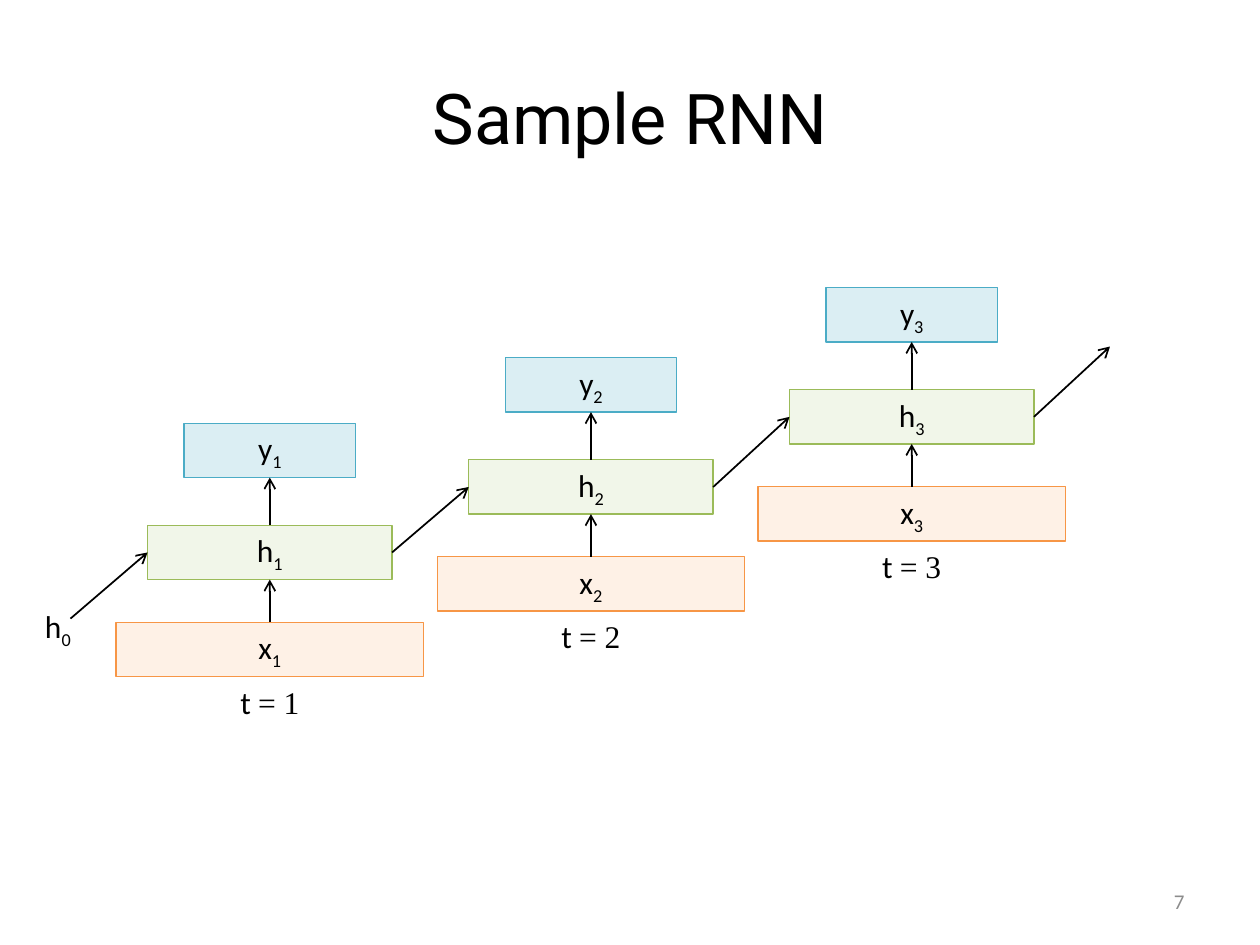
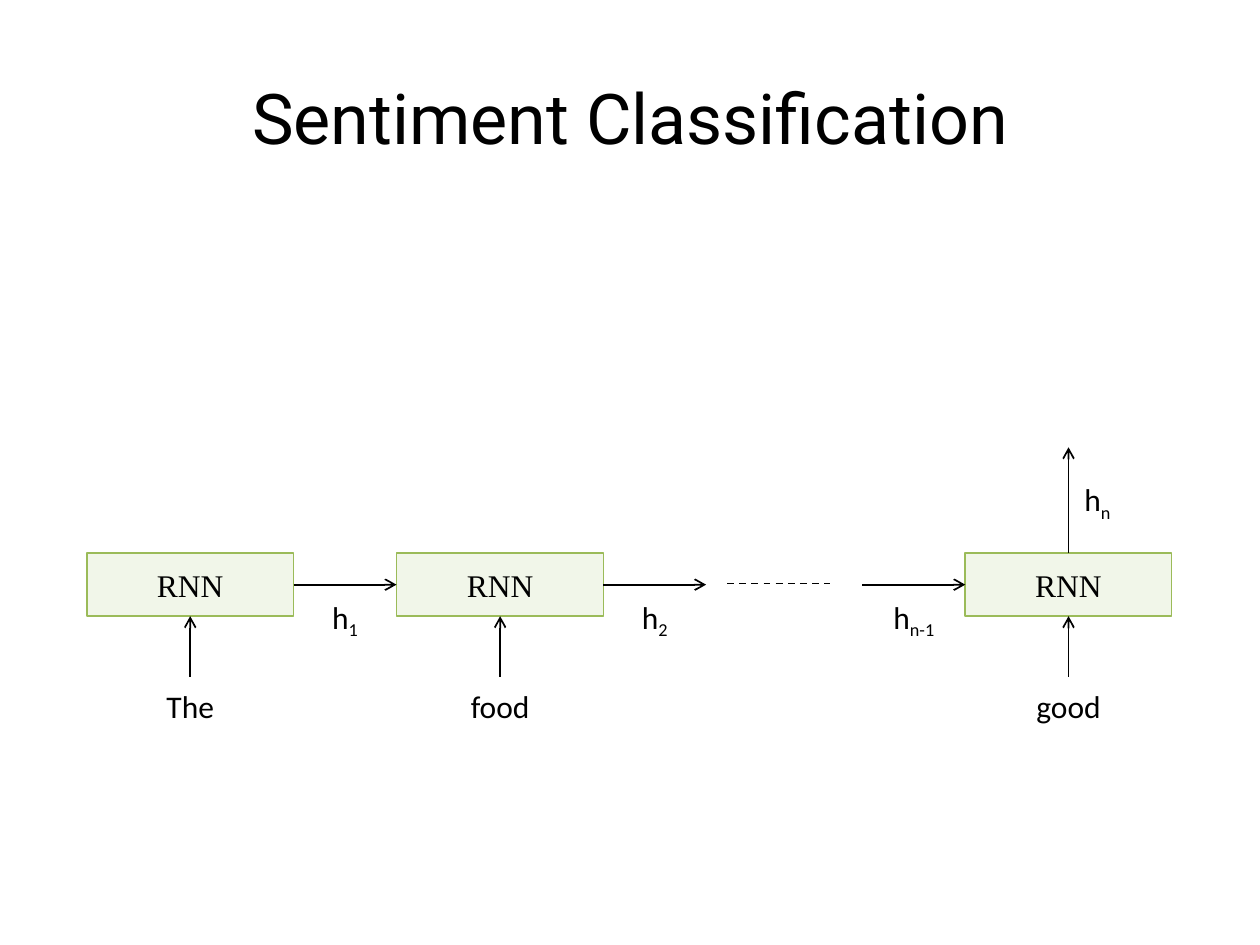
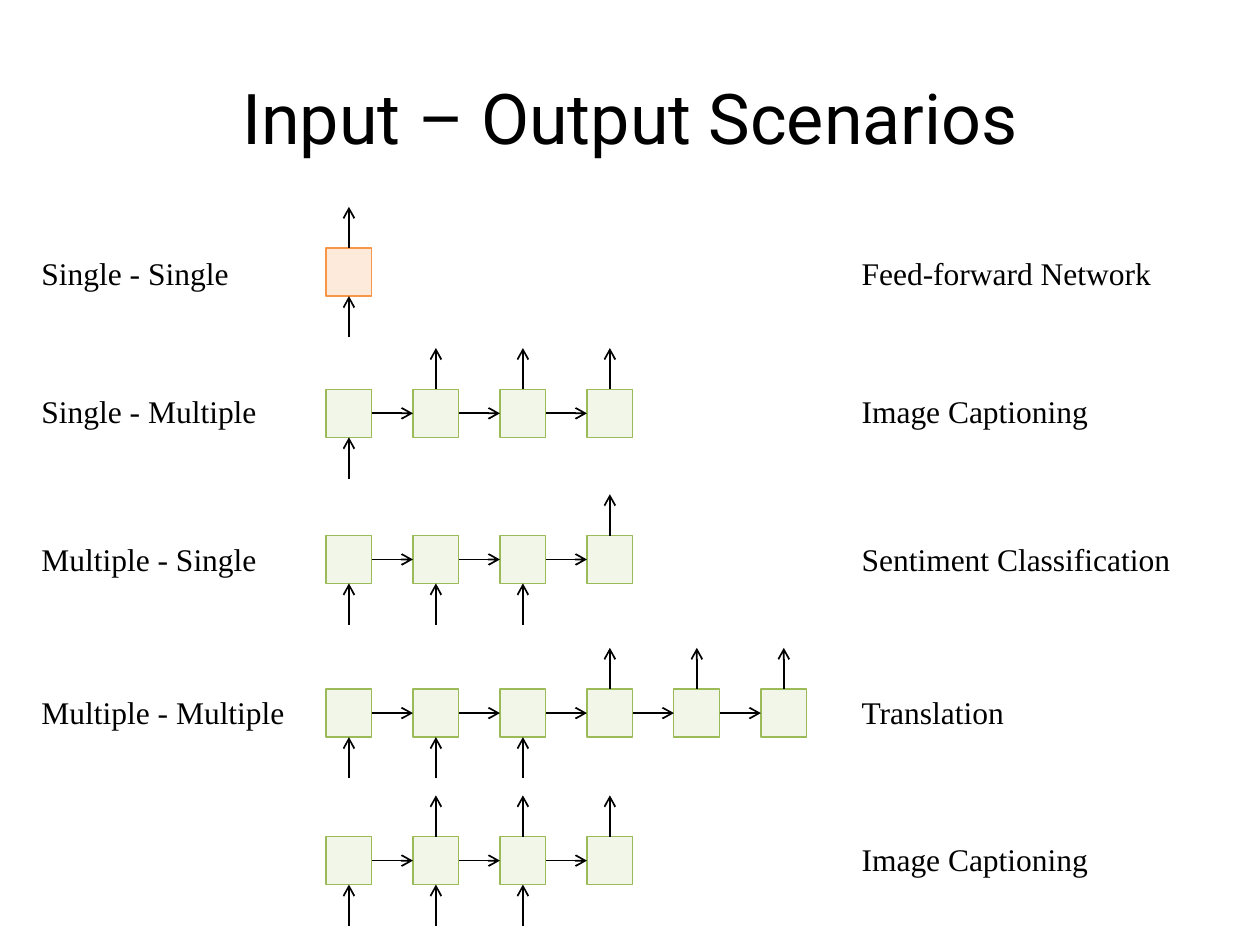
"""Build three slides on recurrent networks: a sample, a classifier and input-output scenarios."""
from lxml import etree
from pptx import Presentation
from pptx.dml.color import RGBColor
from pptx.enum.dml import MSO_LINE
from pptx.enum.shapes import MSO_CONNECTOR, MSO_SHAPE
from pptx.enum.text import MSO_ANCHOR, MSO_AUTO_SIZE, PP_ALIGN
from pptx.oxml.ns import qn
from pptx.util import Pt

RECT, STRAIGHT, DASH = MSO_SHAPE.RECTANGLE, MSO_CONNECTOR.STRAIGHT, MSO_LINE.DASH
TOP, MIDDLE = MSO_ANCHOR.TOP, MSO_ANCHOR.MIDDLE
LEFT, CENTER, RIGHT = PP_ALIGN.LEFT, PP_ALIGN.CENTER, PP_ALIGN.RIGHT
GROW = MSO_AUTO_SIZE.SHAPE_TO_FIT_TEXT

BLACK, GREY = "000000", "8C8C8C"
GREEN, BLUE = ("D7E4BD", "9BBB59"), ("93CDDD", "4BACC6")
ORANGE, DEEP_ORANGE = ("FCD5B5", "F79646"), ("FAC090", "F79646")
FONTS = {
    "title": {"name": "Roboto", "size": Pt(40)},
    "number": {"name": "Calibri", "size": Pt(12)},
    "sans": {"name": "Calibri", "size": Pt(18)},
    "serif": {"name": "Times New Roman", "size": Pt(18)},
}
LABEL_H = 29

STEPS = [("1", 154.2, 300.2), ("2", 337.7, 262.8), ("3", 521, 222.7)]
LAYERS = [("h", 139.7, 0, GREEN), ("y", 98, -58.3, BLUE), ("x", 175.7, 55.4, ORANGE)]
LAYER_H = 31
H0_START, H3_END = (40.3, 353.5), (634.3, 198)

WORDS = [("The", 108.7, 50.4), ("food", 285.8, 54), ("good", 610.6, 57.6)]
STATES = [("1", 167.8, 34.6), ("2", 344.7, 34.6), ("n-1", 492.8, 45.4)]
RNN_TOP, RNN_W, RNN_H, FLOW = 316.1, 118.1, 36, 58.8

SCENARIOS = [
    ("Single - Single", "Feed-forward Network", 141.8, 141.8, 144, 1, [0], [0], DEEP_ORANGE),
    ("Single - Multiple", "Image Captioning", 222.5, 220.3, 144, 4, [0], [1, 2, 3], GREEN),
    ("Multiple - Single", "Sentiment Classification", 306, 305.3, 144, 4, [0, 1, 2], [3], GREEN),
    ("Multiple - Multiple", "Translation", 393.8, 392.4, 170, 6, [0, 1, 2], [3, 4, 5], GREEN),
    ("", "Image Captioning", 478.1, 476.6, 0, 4, [0, 1, 2], [1, 2, 3], GREEN),
]
CELL_X, CELL_PITCH, CELL_W, CELL_H, ARROW = 199.4, 49.7, 26.2, 27.4, 23.6


def rgb(code):
    return RGBColor.from_string(code)


def sub(letter, index):
    return [(letter, "sans", 0), (index, "sans", -25000)]


def write(shape, runs, align=CENTER, anchor=TOP, color=BLACK, wrap=True):
    tf = shape.text_frame
    tf.word_wrap, tf.vertical_anchor = wrap, anchor
    p = tf.paragraphs[0]
    p.alignment = align
    for text, style, baseline in runs:
        r = p.add_run()
        r.text = text
        for key, value in FONTS[style].items():
            setattr(r.font, key, value)
        r.font.color.rgb = rgb(color)
        if baseline:
            r._r.get_or_add_rPr().set("baseline", str(baseline))
    return tf


def textbox(s, x, y, w, h, runs, **options):
    return write(s.shapes.add_textbox(Pt(x), Pt(y), Pt(w), Pt(h)), runs, **options)


def label(s, cx, y, w, runs):
    textbox(s, cx - w / 2, y, w, LABEL_H, runs, wrap=False).auto_size = GROW


def box(s, cx, y, w, h, colors, runs=(), anchor=TOP):
    sp = s.shapes.add_shape(RECT, Pt(cx - w / 2), Pt(y), Pt(w), Pt(h))
    sp.shadow.inherit = False
    sp.fill.solid()
    sp.fill.fore_color.rgb = rgb(colors[0])
    color = sp._element.spPr.find(qn("a:solidFill"))[0]
    etree.SubElement(color, qn("a:alpha")).set("val", "33000")
    sp.line.color.rgb = rgb(colors[1])
    sp.line.width = Pt(0.75)
    write(sp, runs, anchor=anchor)


def line(s, start, end, dashed=False):
    c = s.shapes.add_connector(STRAIGHT, *[Pt(v) for v in (*start, *end)])
    c.line.color.rgb = rgb(BLACK)
    c.line.width = Pt(1)
    if dashed:
        c.line.dash_style = DASH
    else:
        etree.SubElement(c.line._get_or_add_ln(), qn("a:tailEnd")).set("type", "arrow")
    etree.SubElement(c._element.spPr, qn("a:effectLst"))


def new_slide(prs, title):
    s = prs.slides.add_slide(prs.slide_layouts[6])
    textbox(s, 36, 21.6, 648, 90, [(title, "title", 0)], anchor=MIDDLE)
    return s


def sample_slide(prs):
    s = new_slide(prs, "Sample RNN")
    textbox(s, 516.2, 500.4, 167.8, 28.8, [("7", "number", 0)],
            align=RIGHT, anchor=MIDDLE, color=GREY)
    half, previous = LAYERS[0][1] / 2, H0_START
    for index, cx, top in STEPS:
        for letter, w, dy, colors in LAYERS:
            box(s, cx, top + dy, w, LAYER_H, colors, sub(letter, index))
        line(s, (cx, top + 55.4), (cx, top + LAYER_H))
        line(s, (cx, top), (cx, top - 58.3 + LAYER_H))
        label(s, cx, top + 86.4, 56.2, [("t ", "sans", 0), (f"= {index}", "serif", 0)])
        middle = top + LAYER_H / 2
        line(s, previous, (cx - half, middle))
        previous = (cx + half, middle)
    line(s, previous, H3_END)
    label(s, 33.1, 343.4, 34.6, sub("h", "0"))


def sentiment_slide(prs):
    s = new_slide(prs, "Sentiment Classification")
    bottom, middle = RNN_TOP + RNN_H, RNN_TOP + RNN_H / 2
    for word, cx, w in WORDS:
        box(s, cx, RNN_TOP, RNN_W, RNN_H, GREEN, [("RNN", "serif", 0)], MIDDLE)
        line(s, (cx, bottom + 34.5), (cx, bottom))
        label(s, cx, 388.8, w, [(word, "sans", 0)])
    for index, x, w in STATES:
        line(s, (x, middle), (x + FLOW, middle))
        label(s, x + FLOW / 2, 337.9, w, sub("h", index))
    line(s, (415.5, 333.4), (474.3, 333.4), dashed=True)
    last = WORDS[-1][1]
    line(s, (last, RNN_TOP), (last, 255.6))
    label(s, last + 16.5, 270.7, 34.6, sub("h", "n"))


def scenarios_slide(prs):
    s = new_slide(prs, "Input – Output Scenarios")
    for name, task, top, text_top, name_w, count, inputs, outputs, colors in SCENARIOS:
        bottom, middle = top + CELL_H, top + CELL_H / 2
        for i in range(count):
            cx = CELL_X + i * CELL_PITCH
            box(s, cx, top, CELL_W, CELL_H, colors)
            if i:
                line(s, (cx - CELL_PITCH + CELL_W / 2, middle), (cx - CELL_W / 2, middle))
            if i in inputs:
                line(s, (cx, bottom + ARROW), (cx, bottom))
            if i in outputs:
                line(s, (cx, top), (cx, top - ARROW))
        for text, x, w in ((name, 16.6, name_w), (task, 485.3, 234.7)):
            if text:
                tf = textbox(s, x, text_top, w, LABEL_H, [(text, "serif", 0)], align=LEFT)
                tf.auto_size = GROW


def main():
    prs = Presentation()
    prs.slide_width, prs.slide_height = Pt(720), Pt(540)
    for build in (sample_slide, sentiment_slide, scenarios_slide):
        build(prs)
    prs.save("out.pptx")


if __name__ == "__main__":
    main()
